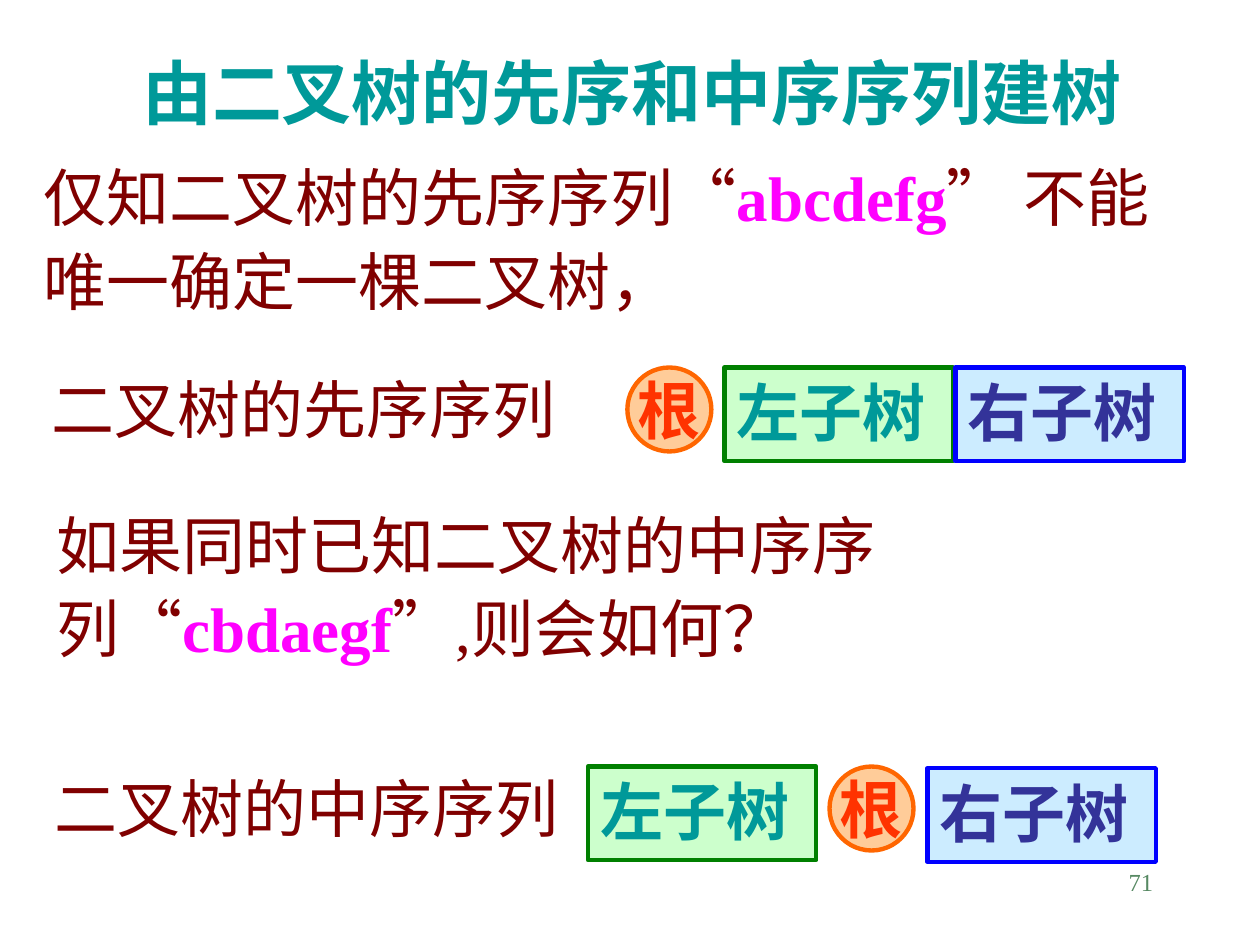
import pptx
import pptx.dml.color
import pptx.enum.lang
import pptx.enum.shapes
import pptx.enum.text
import pptx.util

Pt = pptx.util.Pt
SHAPE = pptx.enum.shapes.MSO_SHAPE
ALIGN = pptx.enum.text.PP_ALIGN
ANCHOR = pptx.enum.text.MSO_ANCHOR
MAROON, MAGENTA, TEAL = "800000", "FF00FF", "009999"


def rgb(hex_color):
    """Return the colour for a hex string."""
    return pptx.dml.color.RGBColor.from_string(hex_color)


def write(shape, runs, size=36, align=ALIGN.LEFT, spacing=1.0, wrap=True, anchor=ANCHOR.TOP):
    """Fill a shape with one paragraph of (text, colour, bold) runs."""
    frame = shape.text_frame
    frame.word_wrap = wrap
    frame.vertical_anchor = anchor
    paragraph = frame.paragraphs[0]
    paragraph.alignment = align
    paragraph.line_spacing = spacing
    for text, color, bold in runs:
        run = paragraph.add_run()
        run.text = text
        run.font.name = "Times New Roman"
        run.font.size = Pt(size)
        run.font.bold = bold
        run.font.color.rgb = rgb(color)
        run.font.language_id = pptx.enum.lang.MSO_LANGUAGE_ID.SIMPLIFIED_CHINESE


deck = pptx.Presentation()
deck.slide_width, deck.slide_height = Pt(720), Pt(540)
slide = deck.slides.add_slide(deck.slide_layouts[5])

title = slide.shapes.title
title.left, title.top, title.width, title.height = Pt(74), Pt(24.5), Pt(576), Pt(55.5)
write(title, [("由二叉树的先序和中序序列建树", TEAL, True)], size=40, wrap=False)

statements = [
    (18, 83, 677, 102, [("仅知二叉树的先序序列“", MAROON, False), ("abcdefg", MAGENTA, True),
                        ("” 不能唯一确定一棵二叉树，", MAROON, False)]),
    (25.2, 281.5, 684, 102, [("如果同时已知二叉树的中序序列“", MAROON, False), ("cbdaegf", MAGENTA, True),
                             ("”,则会如何？", MAROON, False)]),
    (22.5, 204, 336, 55, [("二叉树的先序序列", MAROON, False)]),
    (24, 432, 336, 55, [("二叉树的中序序列", MAROON, False)]),
]
for left, top, width, height, runs in statements:
    statement = slide.shapes.add_textbox(Pt(left), Pt(top), Pt(width), Pt(height))
    write(statement, runs, spacing=1.1)

# part: outline, width, height, fill, line, text colour
parts = {
    "左子树": (SHAPE.RECTANGLE, 130.5, 53.5, "CCFFCC", "008000", TEAL),
    "右子树": (SHAPE.RECTANGLE, 130.5, 53.5, "CCECFF", "0000FF", "333399"),
    "根": (SHAPE.OVAL, 48, 48, "FFCC99", "FF6600", "FF3300"),
}
sequences = [
    ("根", 358.5, 210), ("左子树", 414, 210), ("右子树", 546, 210),
    ("左子树", 336, 438), ("根", 474, 438), ("右子树", 530, 439),
]
for label, left, top in sequences:
    outline, width, height, fill, line, color = parts[label]
    part = slide.shapes.add_shape(outline, Pt(left), Pt(top), Pt(width), Pt(height))
    part.shadow.inherit = False
    part.fill.solid()
    part.fill.fore_color.rgb = rgb(fill)
    part.line.color.rgb = rgb(line)
    part.line.width = Pt(2.5)
    if outline == SHAPE.OVAL:
        write(part, [(label, color, True)], align=ALIGN.CENTER, wrap=False, anchor=ANCHOR.MIDDLE)
    else:
        write(part, [(label, color, True)])
        part.text_frame.auto_size = pptx.enum.text.MSO_AUTO_SIZE.SHAPE_TO_FIT_TEXT

page_number = slide.shapes.add_textbox(Pt(516), Pt(492), Pt(150), Pt(36))
write(page_number, [("71", "578963", False)], size=14, align=ALIGN.RIGHT)

deck.save("out.pptx")
